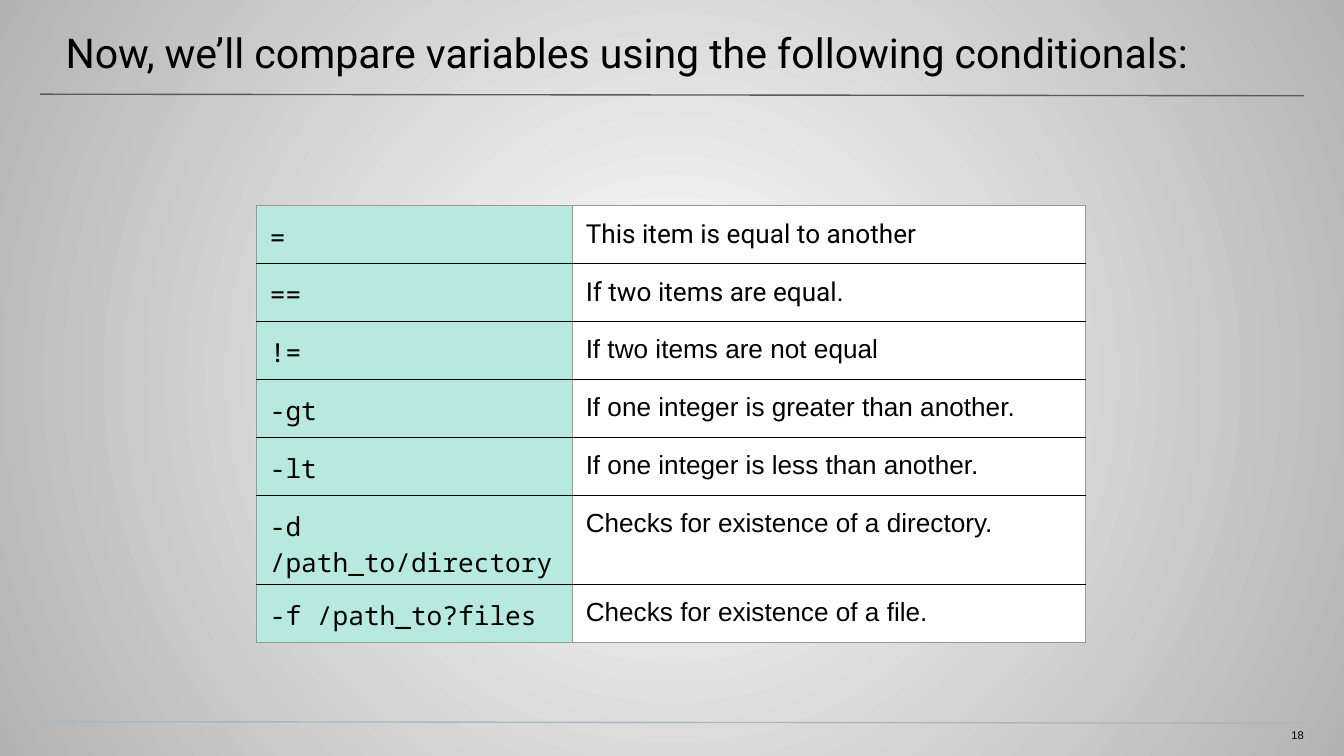
from lxml import etree
from pptx import Presentation
from pptx.dml.color import RGBColor
from pptx.enum import shapes, text
from pptx.oxml import parse_xml
from pptx.oxml.ns import nsdecls, qn
from pptx.util import Cm, Pt

BLACK = RGBColor(0x00, 0x00, 0x00)
WHITE = RGBColor(0xFF, 0xFF, 0xFF)
SILVER = RGBColor(0xB3, 0xB3, 0xB3)
GRAY = RGBColor(0x99, 0x99, 0x99)
DARK_GRAY = RGBColor(0x59, 0x59, 0x59)
BLUE_GRAY = RGBColor(0xA9, 0xB7, 0xC0)
MINT = RGBColor(0xB7, 0xE9, 0xDF)

CONDITIONALS = [
    ("=", "This item is equal to another", "Roboto"),
    ("==", "If two items are equal.", "Roboto"),
    ("!=", "If two items are not equal", "Arial"),
    ("-gt", "If one integer is greater than another.", "Arial"),
    ("-lt", "If one integer is less than another.", "Arial"),
    ("-d /path_to/directory", "Checks for existence of a directory.", "Arial"),
    ("-f /path_to?files", "Checks for existence of a file.", "Arial"),
]


def write(tf, words, font, size, align=text.PP_ALIGN.LEFT):
    tf.text = words
    p = tf.paragraphs[0]
    p.alignment = align
    r = p.runs[0]
    r.font.name, r.font.size = font, Pt(size)
    r.font.color.rgb = BLACK


def set_borders(cell, colors):
    tcPr = cell._tc.get_or_add_tcPr()
    for i, (side, color) in enumerate(zip("LRTB", colors)):
        tcPr.insert(i, parse_xml(
            f'<a:ln{side} {nsdecls("a")} w="9525"><a:solidFill>'
            f'<a:srgbClr val="{color}"/></a:solidFill></a:ln{side}>'))


prs = Presentation()
prs.slide_width, prs.slide_height = Cm(25.4), Cm(14.29)
s = prs.slides.add_slide(prs.slide_layouts[5])

# Radial background
fill = s.background.fill
fill.gradient()
for stop, color in zip(fill.gradient_stops, (WHITE, SILVER)):
    stop.color.rgb = color
grad = s.element.find(".//" + qn("a:gradFill"))
grad.replace(grad.find(qn("a:lin")), parse_xml(
    f'<a:path {nsdecls("a")} path="circle">'
    '<a:fillToRect l="50000" t="50000" r="50000" b="50000"/></a:path>'))

# Header and footer rules
for y, color in ((1.78, DARK_GRAY), (13.64, BLUE_GRAY)):
    line = s.shapes.add_connector(shapes.MSO_CONNECTOR.STRAIGHT,
                                  Cm(0.76), Cm(y), Cm(24.64), Cm(y + 0.03))
    line.line.color.rgb = color
    line.line.width = Pt(0.75)
    etree.SubElement(line._element.spPr, qn("a:effectLst"))

# Title
title = s.shapes.title
title.left, title.top, title.width, title.height = Cm(-0.03), Cm(0), Cm(25.48), Cm(1.47)
tf = title.text_frame
tf.margin_left, tf.margin_top, tf.margin_right, tf.margin_bottom = (
    Cm(1.27), Cm(0.51), Cm(0.76), Cm(0.25))
tf.vertical_anchor = text.MSO_ANCHOR.TOP
tf.auto_size = text.MSO_AUTO_SIZE.NONE
tf.word_wrap = True
write(tf, "Now, we’ll compare variables using the following conditionals:", "Roboto", 22)

# Slide number
tf = s.shapes.add_textbox(Cm(23.9), Cm(13.77), Cm(0.74), Cm(0.3)).text_frame
tf.margin_left = tf.margin_top = tf.margin_right = 0
tf.margin_bottom = Cm(0.25)
tf.word_wrap = True
write(tf, "18", "Arial", 6, text.PP_ALIGN.RIGHT)

# Table of conditionals
last = len(CONDITIONALS) - 1
frame = s.shapes.add_table(len(CONDITIONALS), 2, Cm(4.85), Cm(3.89), Cm(15.67), Cm(7.7))
table = frame.table
table.first_row = table.horz_banding = False
table.columns[0].width, table.columns[1].width = Cm(5.97), Cm(9.7)
for i, (operator, meaning, font) in enumerate(CONDITIONALS):
    table.rows[i].height = Cm(0.94)
    top = GRAY if i == 0 else BLACK
    bottom = GRAY if i == last else BLACK
    for j, (words, face, color) in enumerate(((operator, "Noto Sans Mono", MINT),
                                              (meaning, font, WHITE))):
        cell = table.cell(i, j)
        cell.margin_left = cell.margin_top = cell.margin_right = cell.margin_bottom = Cm(0.25)
        cell.fill.solid()
        cell.fill.fore_color.rgb = color
        set_borders(cell, (GRAY, GRAY, top, bottom))
        write(cell.text_frame, words, face, 14)
frame.height = Cm(7.7)

prs.save("out.pptx")
